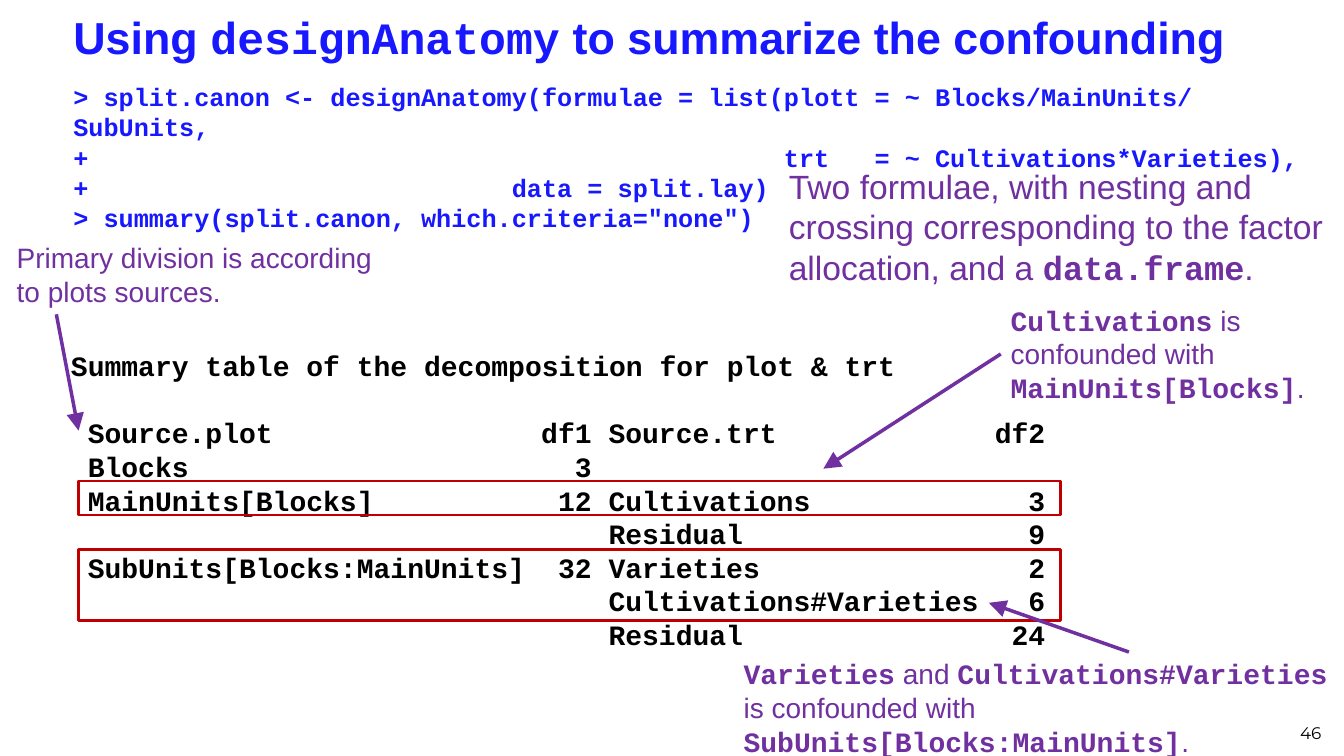
from dataclasses import dataclass

import pptx
import pptx.dml.color
import pptx.enum.shapes
import pptx.enum.text
import pptx.oxml.ns
import pptx.util
from lxml import etree

Cm = pptx.util.Cm
Anchor = pptx.enum.text.MSO_ANCHOR
Align = pptx.enum.text.PP_ALIGN


@dataclass(frozen=True)
class Theme:
    sans: str = "Arial"
    mono: str = "Courier New"
    number: str = "Montserrat"
    blue: str = "1818FF"
    purple: str = "7030A0"
    red: str = "C00000"
    black: str = "000000"
    title_size: int = 32
    formulae_size: int = 24
    body_size: int = 20
    code_size: int = 18
    number_size: int = 12
    frame_width: float = 2
    arrow_width: float = 2.5


@dataclass(frozen=True)
class Box:
    left: float
    top: float
    width: float
    height: float


@dataclass(frozen=True)
class Line:
    text: str
    tabs: tuple[tuple[int, str], ...] = ()
    space_after: float = 0


@dataclass(frozen=True)
class Callout:
    text: str
    box: Box
    size: int


@dataclass(frozen=True)
class Arrow:
    start: tuple[float, float]
    end: tuple[float, float]


THEME = Theme()

TITLE = "Using `designAnatomy` to summarize the confounding"

CODE = [
    Line("> split.canon <- designAnatomy(formulae = list(plott = ~ Blocks/MainUnits/\nSubUnits,"),
    Line("+\ttrt\t= ~ Cultivations*Varieties),", ((47, "l"), (53, "l"))),
    Line("+\tdata = split.lay)", ((29, "l"),)),
    Line('> summary(split.canon, which.criteria="none")'),
]

SUMMARY_TITLE = "Summary table of the decomposition for plot & trt"
SUMMARY_TABS = ((1, "l"), (31, "r"), (32, "l"), (58, "r"))
SUMMARY_ROWS = [
    ("Source.plot", "df1", "Source.trt", "df2"),
    ("Blocks", "3"),
    ("MainUnits[Blocks]", "12", "Cultivations", "3"),
    ("", "", "Residual", "9"),
    ("SubUnits[Blocks:MainUnits]", "32", "Varieties", "2"),
    ("", "", "Cultivations#Varieties", "6"),
    ("", "", "Residual", "24"),
]

CALLOUTS = [
    Callout("Two formulae, with nesting and crossing corresponding to the factor "
            "allocation, and a `data.frame`.",
            Box(19.63, 4.06, 14.2, 3.2), THEME.formulae_size),
    Callout("`Cultivations` is confounded with `MainUnits[Blocks]`.",
            Box(25.22, 7.52, 8.31, 2.82), THEME.body_size),
    Callout("`Varieties` and `Cultivations#Varieties` is confounded with "
            "`SubUnits[Blocks:MainUnits]`.",
            Box(18.49, 16.43, 15.67, 2.82), THEME.body_size),
    Callout("Primary division is according to plots sources.",
            Box(0.17, 5.94, 9.6, 1.96), THEME.body_size),
]

CONFOUNDED_ROWS = [Box(1.98, 12.12, 24.74, 0.86), Box(1.98, 13.84, 24.74, 1.8)]

ARROWS = [
    Arrow((25.22, 8.92), (20.75, 11.81)),
    Arrow((1.42, 7.92), (1.98, 10.85)),
    Arrow((28.45, 16.43), (24.92, 15.19)),
]


def rgb(colour: str) -> pptx.dml.color.RGBColor:
    return pptx.dml.color.RGBColor.from_string(colour)


def add_child(parent, tag: str, **attributes: str):
    return etree.SubElement(parent, pptx.oxml.ns.qn(tag), attributes)


def set_tabs(paragraph, tabs: tuple[tuple[int, str], ...], size: float) -> None:
    tab_list = add_child(paragraph._p.get_or_add_pPr(), "a:tabLst")
    for column, side in tabs:
        position = pptx.util.Pt(column * size * 0.6)
        add_child(tab_list, "a:tab", pos=str(int(position)), algn=side)


def add_text(slide, lines: list[Line], box: Box, *, size: float, colour: str,
             font: str = THEME.sans, bold: bool = False,
             align=Align.LEFT, anchor=Anchor.TOP) -> None:
    frame = slide.shapes.add_textbox(
        Cm(box.left), Cm(box.top), Cm(box.width), Cm(box.height)).text_frame
    frame.word_wrap = True
    frame.vertical_anchor = anchor
    for index, line in enumerate(lines):
        paragraph = frame.add_paragraph() if index else frame.paragraphs[0]
        paragraph.alignment = align
        paragraph.space_after = pptx.util.Pt(line.space_after)
        if line.tabs:
            set_tabs(paragraph, line.tabs, size)
        for position, part in enumerate(line.text.split("`")):
            is_code = position % 2 == 1
            for row, words in enumerate(part.split("\n")):
                if row:
                    paragraph.add_line_break()
                if not words:
                    continue
                run = paragraph.add_run()
                run.text = words
                run.font.name = THEME.mono if is_code else font
                run.font.size = pptx.util.Pt(size)
                run.font.bold = bold or is_code
                run.font.color.rgb = rgb(colour)


def add_frame(slide, box: Box) -> None:
    frame = slide.shapes.add_shape(
        pptx.enum.shapes.MSO_SHAPE.RECTANGLE,
        Cm(box.left), Cm(box.top), Cm(box.width), Cm(box.height))
    frame.shadow.inherit = False
    frame.fill.background()
    frame.line.color.rgb = rgb(THEME.red)
    frame.line.width = pptx.util.Pt(THEME.frame_width)


def add_arrow(slide, arrow: Arrow) -> None:
    connector = slide.shapes.add_connector(
        pptx.enum.shapes.MSO_CONNECTOR.STRAIGHT,
        *(Cm(value) for value in arrow.start + arrow.end))
    connector.line.color.rgb = rgb(THEME.purple)
    connector.line.width = pptx.util.Pt(THEME.arrow_width)
    add_child(connector.line._get_or_add_ln(), "a:tailEnd",
              type="triangle", w="lg", len="lg")
    add_child(connector._element.spPr, "a:effectLst")


def main() -> None:
    deck = pptx.Presentation()
    deck.slide_width, deck.slide_height = Cm(33.87), Cm(19.05)
    slide = deck.slides.add_slide(deck.slide_layouts[6])

    add_text(slide, [Line(TITLE)], Box(1.6, -0.08, 32, 2.01), size=THEME.title_size,
             colour=THEME.blue, bold=True, anchor=Anchor.MIDDLE)
    add_text(slide, CODE, Box(1.6, 1.93, 32, 3.45), size=THEME.code_size,
             colour=THEME.blue, font=THEME.mono, bold=True)
    add_text(slide, [Line("46")], Box(25.65, 17.58, 7.9, 1.27), size=THEME.number_size,
             colour=THEME.black, font=THEME.number, align=Align.RIGHT, anchor=Anchor.BOTTOM)

    summary = [Line(SUMMARY_TITLE, space_after=1.2 * THEME.body_size)]
    summary += [Line("\t" + "\t".join(row), SUMMARY_TABS) for row in SUMMARY_ROWS]
    add_text(slide, summary, Box(1.54, 8.66, 32, 8), size=THEME.body_size,
             colour=THEME.black, font=THEME.mono, bold=True)

    for callout in CALLOUTS:
        add_text(slide, [Line(callout.text)], callout.box, size=callout.size,
                 colour=THEME.purple)
    for row_box in CONFOUNDED_ROWS:
        add_frame(slide, row_box)
    for arrow in ARROWS:
        add_arrow(slide, arrow)

    deck.save("out.pptx")


if __name__ == "__main__":
    main()
